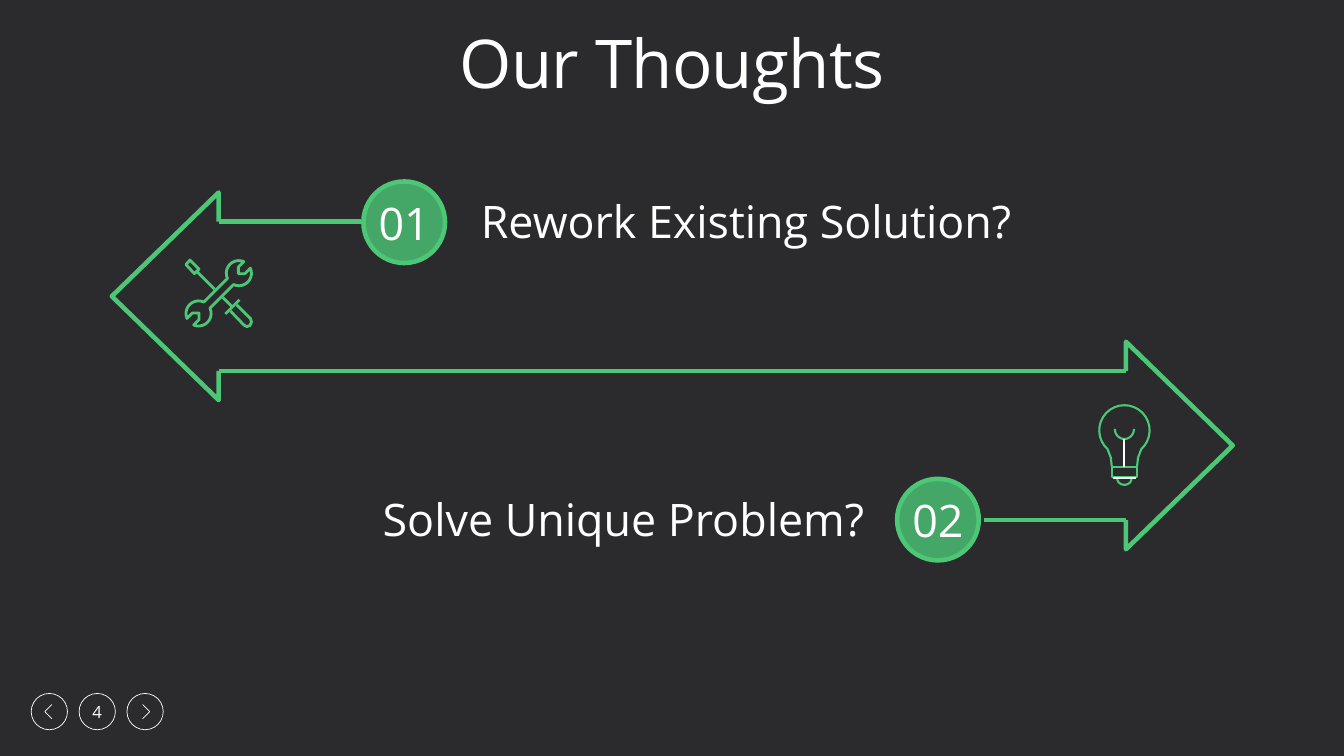
import math

import lxml.etree
import pptx
import pptx.dml.color
import pptx.enum.shapes
import pptx.enum.text
import pptx.oxml.ns
import pptx.util

RGBColor = pptx.dml.color.RGBColor
ALIGN = pptx.enum.text.PP_ALIGN
ANCHOR = pptx.enum.text.MSO_ANCHOR

DARK = RGBColor(0x2B, 0x2B, 0x2D)
GREEN = RGBColor(0x4C, 0xC7, 0x76)
WHITE = RGBColor(0xFF, 0xFF, 0xFF)
FONT = "Open Sans"

# The grid has 133.3 columns and 75 rows
COLS, ROWS = 133.33, 75
HEAVY, ICON, THIN = 3.25, 2, 0.5


def cell(n):
    """Length of n grid cells."""
    return pptx.util.Inches(n / 10)


def set_line(sp, color, width):
    sp.line.color.rgb = color
    sp.line.width = pptx.util.Pt(width)


def write(sp, text, size, align, spacing=None):
    p = sp.text_frame.paragraphs[0]
    p.text = text
    p.alignment = align
    p.line_spacing = spacing
    r = p.runs[0]
    r.font.name = FONT
    r.font.size = pptx.util.Pt(size)
    r.font.color.rgb = WHITE
    return r


def add_line(s, start, end, color=GREEN, width=HEAVY):
    sp = s.shapes.add_connector(
        pptx.enum.shapes.MSO_CONNECTOR.STRAIGHT, *map(cell, start + end))
    set_line(sp, color, width)
    lxml.etree.SubElement(sp._element.spPr, pptx.oxml.ns.qn("a:effectLst"))


def add_outline(s, points, color=GREEN, width=HEAVY, close=False):
    points = [(cell(x), cell(y)) for x, y in points]
    fb = s.shapes.build_freeform(*points[0])
    fb.add_line_segments(points[1:], close=close)
    sp = fb.convert_to_shape()
    sp.shadow.inherit = False
    sp.fill.background()
    set_line(sp, color, width)
    ln = sp.line._get_or_add_ln()
    lxml.etree.SubElement(ln, pptx.oxml.ns.qn("a:round"))


def add_circle(s, cx, cy, size, color, width):
    sp = s.shapes.add_shape(
        pptx.enum.shapes.MSO_SHAPE.OVAL,
        *map(cell, (cx - size / 2, cy - size / 2, size, size)))
    sp.shadow.inherit = False
    sp.fill.background()
    set_line(sp, color, width)
    return sp


def add_badge(s, cx, cy, text):
    sp = add_circle(s, cx, cy, 8.1, GREEN, HEAVY)
    sp.fill.solid()
    sp.fill.fore_color.rgb = GREEN
    clr = sp._element.spPr.find(".//" + pptx.oxml.ns.qn("a:srgbClr"))
    lxml.etree.SubElement(clr, pptx.oxml.ns.qn("a:alpha"), val="80000")
    sp.text_frame.word_wrap = False
    sp.text_frame.vertical_anchor = ANCHOR.MIDDLE
    write(sp, text, 32, ALIGN.CENTER)


def add_label(s, x, y, w, text, align):
    sp = s.shapes.add_textbox(*map(cell, (x, y, w, 6)))
    tf = sp.text_frame
    tf.word_wrap = True
    tf.margin_left = tf.margin_right = cell(1.3)
    tf.margin_top, tf.margin_bottom = cell(0.5), cell(0.7)
    write(sp, text, 32, align, 0.89)


def add_arrow(s, neck, cy, way):
    """Open arrow: way is -1 for left, 1 for right."""
    half, wing, tip, tail = 7.4, 10.3, 10.6, 14.1
    add_outline(s, [(neck, cy + half), (neck, cy + wing),
                    (neck + way * tip, cy),
                    (neck, cy - wing), (neck, cy - half)])
    for y in (cy - half, cy + half):
        add_line(s, (neck - way * tail, y), (neck, y))


def add_chevron(s, cx, cy, way):
    back = cx - way * 0.25
    add_outline(s, [(back, cy + 0.7), (cx + way * 0.45, cy), (back, cy - 0.7)],
                WHITE, THIN)


def arc(cx, cy, rx, ry, start, end, steps=24):
    """Points on an ellipse, angles in degrees, clockwise from the right."""
    angles = [math.radians(start + (end - start) * i / steps)
              for i in range(steps + 1)]
    return [(cx + rx * math.cos(a), cy + ry * math.sin(a)) for a in angles]


def add_tools_icon(s, cx, cy):
    def place(points):
        return [(cx + x, cy + y) for x, y in points]

    # Wrench: one end, then the same end turned by half a circle
    end = (arc(2, -2, 1.25, 1.25, 155, 293, 10)
           + [(1.95, -2.6), (1.95, -1.95), (2.6, -1.95), (3.15, -2.5)]
           + arc(2, -2, 1.25, 1.25, -23, 115, 10))
    add_outline(s, place(end + [(-x, -y) for x, y in end]), GREEN, ICON, True)

    # Screwdriver: tip, shaft, collar and handle
    add_outline(s, place([(-3.25, -2.85), (-2.85, -3.3),
                          (-1.95, -2.4), (-2.4, -1.95)]), GREEN, ICON, True)
    handle = [(1.15, 1.75), (2.5, 3.15), (2.8, 3.3), (3.1, 3.2),
              (3.25, 2.85), (3.15, 2.5), (1.8, 1.15)]
    add_outline(s, place(handle), GREEN, ICON)
    for a, b in (((-2.1, -2.1), (-0.4, -0.4)), ((0.4, 0.4), (1.3, 1.3)),
                 ((0.65, 2.05), (2.05, 0.65))):
        add_line(s, *place([a, b]), width=ICON)


def add_bulb_icon(s, cx, cy):
    base = cy + 3.6
    glass = ([(cx - 1.25, base), (cx - 1.35, cy + 2.7)]
             + arc(cx, cy, 2.5, 2.5, 132, 408)
             + [(cx + 1.35, cy + 2.7), (cx + 1.25, base)])
    socket = [(cx - 1.25, base), (cx - 1.25, base + 1),
              (cx + 1.25, base + 1), (cx + 1.25, base)]
    add_outline(s, glass, GREEN, 1.5)
    add_outline(s, socket, GREEN, 1.5, True)
    add_outline(s, arc(cx, base + 1.2, 0.7, 0.6, 0, 180), GREEN, 1.5)
    add_outline(s, arc(cx, cy - 0.15, 0.95, 1, 0, 180), GREEN, 1.5)
    add_line(s, (cx, cy + 0.9), (cx, base), WHITE, 1.5)
    add_line(s, (cx - 1.1, base + 1.15), (cx + 1.1, base + 1.15), WHITE, 1.5)


def add_navigation(s, cx, cy, step, number):
    for i in range(3):
        add_circle(s, cx + i * step, cy, 3.6, WHITE, THIN)
    add_chevron(s, cx, cy, -1)
    add_chevron(s, cx + 2 * step, cy, 1)
    sp = s.shapes.add_textbox(
        *map(cell, (cx + step - 1.8, cy - 1.8, 3.6, 3.6)))
    sp.text_frame.word_wrap = False
    sp.text_frame.vertical_anchor = ANCHOR.MIDDLE
    write(sp, number, 12, ALIGN.CENTER)


def add_title(s, text):
    sp = s.shapes.title
    sp.left, sp.top, sp.width, sp.height = map(cell, (10, 2.8, 113.3, 8.9))
    sp.text_frame.vertical_anchor = ANCHOR.TOP
    r = write(sp, text, 48, ALIGN.CENTER, 0.86)
    r._r.get_or_add_rPr().set("spc", "-50")


def main():
    prs = pptx.Presentation()
    prs.slide_width, prs.slide_height = cell(COLS), cell(ROWS)
    s = prs.slides.add_slide(prs.slide_layouts[5])
    s.background.fill.solid()
    s.background.fill.fore_color.rgb = DARK

    add_title(s, "Our Thoughts")
    add_navigation(s, 4.9, 70.6, 4.75, "4")

    # Two arrows that share the middle line
    add_line(s, (21.7, 36.8), (99.3, 36.8))
    add_arrow(s, 21.7, 29.4, -1)
    add_arrow(s, 111.7, 44.2, 1)
    add_tools_icon(s, 21.7, 29.1)
    add_bulb_icon(s, 111.55, 42.7)

    # Numbered questions
    add_badge(s, 40.1, 22.05, "01")
    add_label(s, 46.4, 19.4, 59.6, "Rework Existing Solution?", ALIGN.LEFT)
    add_badge(s, 93.05, 51.55, "02")
    add_label(s, 28.3, 48.9, 58.8, "Solve Unique Problem?", ALIGN.RIGHT)

    prs.save("out.pptx")


if __name__ == "__main__":
    main()
